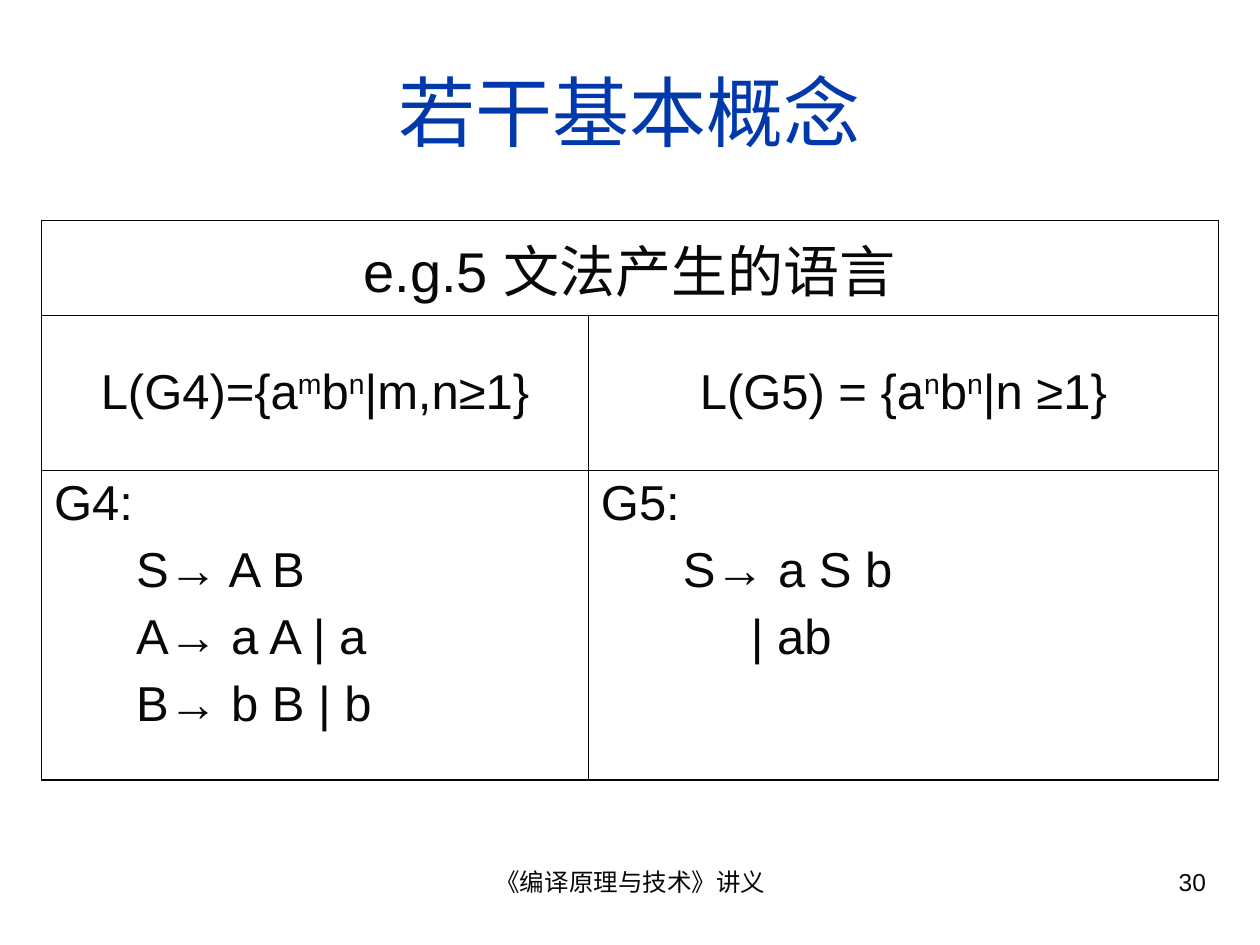
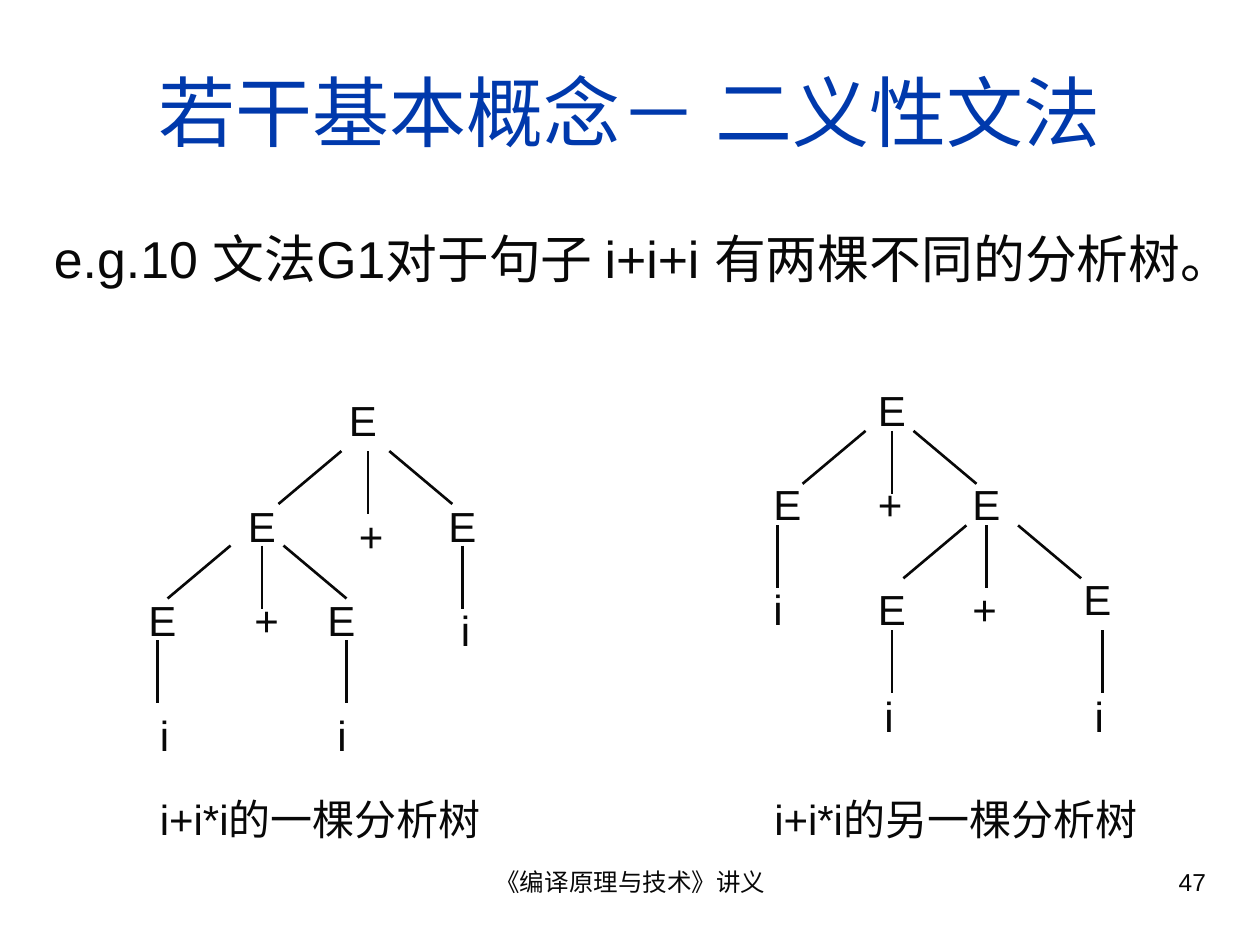
from dataclasses import dataclass

from lxml import etree
from pptx import Presentation
from pptx.dml.color import RGBColor
from pptx.enum import shapes, text
from pptx.oxml.ns import qn
from pptx.util import Inches, Pt


@dataclass(frozen=True)
class Theme:
    font: str = "Arial"
    ink: RGBColor = RGBColor(0x08, 0x08, 0x08)
    blue: RGBColor = RGBColor(0x00, 0x39, 0xAC)
    title: float = 44
    heading: float = 32
    body: float = 29.6
    grammar: float = 28
    node: float = 24
    footer: float = 14
    outer_line: float = 1.08
    inner_line: float = 0.45
    branch_line: float = 1.5


THEME = Theme()
LEFT, CENTER, RIGHT = text.PP_ALIGN.LEFT, text.PP_ALIGN.CENTER, text.PP_ALIGN.RIGHT
MIDDLE = text.MSO_ANCHOR.MIDDLE

FOOTER = "《编译原理与技术》讲义"

# Text between carets is raised.
LANGUAGE_TITLE = "e.g.5 文法产生的语言"
LANGUAGES = ["L(G4)={a^m^b^n^|m,n≥1}", "L(G5) = {a^n^b^n^|n ≥1}"]
# Each rule: indent in inches, text
GRAMMARS = [
    [(0, "G4:"), (0.65, "S→ A B"), (0.65, "A→ a A | a"), (0.65, "B→ b B | b")],
    [(0, "G5:"), (0.65, "S→ a S b"), (1.19, "| ab")],
]
TABLE_AT = (0.33, 1.75, 9.34, 4.44)
COLUMNS = [4.34, 5]
ROWS = [0.75, 1.23, 2.46]

AMBIGUITY = "e.g.10 文法G1对于句子 i+i+i 有两棵不同的分析树。"
# nodes: label, left, top; forks: x, y, gap to left branch, gap to right branch;
# stems: x, y of the line from an E down to its leaf
TREES = [
    {
        "caption": ("i+i*i的一棵分析树", (1.17, 6.25, 3, 0.5), LEFT),
        "nodes": [
            ("E", 2.67, 3.08),
            ("E", 1.87, 3.92), ("+", 2.75, 4), ("E", 3.46, 3.92),
            ("E", 1.08, 4.67), ("+", 1.92, 4.67), ("E", 2.5, 4.67), ("i", 3.56, 4.75),
            ("i", 1.17, 5.58), ("i", 2.58, 5.58),
        ],
        "forks": [(2.92, 3.58, 0.21, 0.17), (2.08, 4.33, 0.25, 0.17)],
        "stems": [(3.67, 4.33), (1.25, 5.08), (2.75, 5.08)],
    },
    {
        "caption": ("i+i*i的另一棵分析树", (5.92, 6.25, 3.33, 0.5), CENTER),
        "nodes": [
            ("E", 6.87, 3),
            ("E", 6.04, 3.75), ("+", 6.87, 3.75), ("E", 7.62, 3.75),
            ("i", 6.04, 4.58), ("E", 6.87, 4.58), ("+", 7.62, 4.58), ("E", 8.5, 4.5),
            ("i", 6.92, 5.43), ("i", 8.59, 5.43),
        ],
        "forks": [(7.08, 3.42, 0.21, 0.17), (7.83, 4.17, 0.16, 0.25)],
        "stems": [(6.17, 4.17), (7.08, 5), (8.75, 5)],
    },
]
NODE_WIDTH = {"E": 0.67, "+": 0.67, "i": 0.27}
STEM = 0.5
BRANCH_DX, BRANCH_DY = 0.5, 0.42


def format_paragraph(p, size, color=THEME.ink, align=LEFT, before=0):
    p.alignment = align
    p.space_before = Pt(before)
    for r in p.runs:
        r.font.name, r.font.size, r.font.color.rgb = THEME.font, Pt(size), color


def set_indent(p, left, first=0):
    pPr = p._p.get_or_add_pPr()
    pPr.set("marL", str(Inches(left)))
    pPr.set("indent", str(Inches(first)))


def add_text(slide, words, at, size, color=THEME.ink, align=LEFT, before=0, anchor=None):
    tf = slide.shapes.add_textbox(*map(Inches, at)).text_frame
    tf.word_wrap = True
    tf.vertical_anchor = anchor
    p = tf.paragraphs[0]
    p.text = words
    format_paragraph(p, size, color, align, before)
    return p


def add_line(slide, x1, y1, x2, y2):
    line = slide.shapes.add_connector(
        shapes.MSO_CONNECTOR.STRAIGHT, *map(Inches, (x1, y1, x2, y2)))
    line.line.color.rgb = THEME.ink
    line.line.width = Pt(THEME.branch_line)
    etree.SubElement(line._element.spPr, qn("a:effectLst"))


def new_slide(prs, title, number):
    """Add a blank slide with the shared title, footer and slide number."""
    s = prs.slides.add_slide(prs.slide_layouts[6])
    add_text(s, FOOTER, (3.42, 6.83, 3.17, 0.52), THEME.footer, align=CENTER)
    add_text(s, str(number), (7.17, 6.83, 2.5, 0.52), THEME.footer, align=RIGHT)
    add_text(s, title, (0.33, 0.25, 9.34, 1.25), THEME.title, THEME.blue, CENTER,
             anchor=MIDDLE)
    return s


def set_borders(cell, **widths):
    """Draw the cell's sides; widths must come in the order L, R, T, B."""
    tcPr = cell._tc.get_or_add_tcPr()
    for i, (side, width) in enumerate(widths.items()):
        ln = etree.Element(qn(f"a:ln{side}"), w=str(Pt(width)))
        fill = etree.SubElement(ln, qn("a:solidFill"))
        etree.SubElement(fill, qn("a:srgbClr"), val=str(THEME.ink))
        tcPr.insert(i, ln)


def write_with_superscripts(p, marked):
    for i, part in enumerate(marked.split("^")):
        r = p.add_run()
        r.text = part
        if i % 2:
            r._r.get_or_add_rPr().set("baseline", "30000")


def write_rules(tf, rules):
    tf.text = "\n".join(rule for _, rule in rules)
    for p, (indent, _) in zip(tf.paragraphs, rules):
        set_indent(p, indent)
        format_paragraph(p, THEME.grammar, before=7)


def add_language_table(slide):
    table = slide.shapes.add_table(
        len(ROWS), len(COLUMNS), *map(Inches, TABLE_AT)).table
    table.first_row = table.horz_banding = False
    for column, width in zip(table.columns, COLUMNS):
        column.width = Inches(width)
    for row, height in zip(table.rows, ROWS):
        row.height = Inches(height)

    heading = table.cell(0, 0)
    heading.merge(table.cell(0, 1))
    heading.text = LANGUAGE_TITLE
    heading.vertical_anchor = MIDDLE
    format_paragraph(heading.text_frame.paragraphs[0], THEME.heading,
                     align=CENTER, before=8)
    for col, (language, rules) in enumerate(zip(LANGUAGES, GRAMMARS)):
        cell = table.cell(1, col)
        cell.vertical_anchor = MIDDLE
        p = cell.text_frame.paragraphs[0]
        write_with_superscripts(p, language)
        format_paragraph(p, THEME.grammar, align=CENTER, before=7)
        write_rules(table.cell(2, col).text_frame, rules)

    def width(is_outer):
        return THEME.outer_line if is_outer else THEME.inner_line

    last_row, last_col = len(ROWS) - 1, len(COLUMNS) - 1
    for row in range(len(ROWS)):
        for col in range(len(COLUMNS)):
            cell = table.cell(row, col)
            cell.fill.background()
            set_borders(cell,
                        L=width(col == 0 or row == 0),
                        R=width(col == last_col or row == 0),
                        T=width(row == 0),
                        B=width(row == last_row))


def add_tree(slide, tree):
    for label, x, y in tree["nodes"]:
        add_text(slide, label, (x, y, NODE_WIDTH[label], 0.5), THEME.node)
    for x, y, left, right in tree["forks"]:
        add_line(slide, x - left, y, x - left - BRANCH_DX, y + BRANCH_DY)
        add_line(slide, x + right, y, x + right + BRANCH_DX, y + BRANCH_DY)
    for x, y, *_ in tree["forks"] + tree["stems"]:
        add_line(slide, x, y, x, y + STEM)
    words, at, align = tree["caption"]
    add_text(slide, words, at, THEME.node, align=align)


def main():
    prs = Presentation()
    prs.slide_width, prs.slide_height = Inches(10), Inches(7.5)

    add_language_table(new_slide(prs, "若干基本概念", 30))

    s = new_slide(prs, "若干基本概念－ 二义性文法", 47)
    p = add_text(s, AMBIGUITY, (0.33, 1.75, 9.34, 1.17), THEME.body, before=8)
    set_indent(p, 0.38, -0.38)
    for tree in TREES:
        add_tree(s, tree)

    prs.save("out.pptx")


if __name__ == "__main__":
    main()
